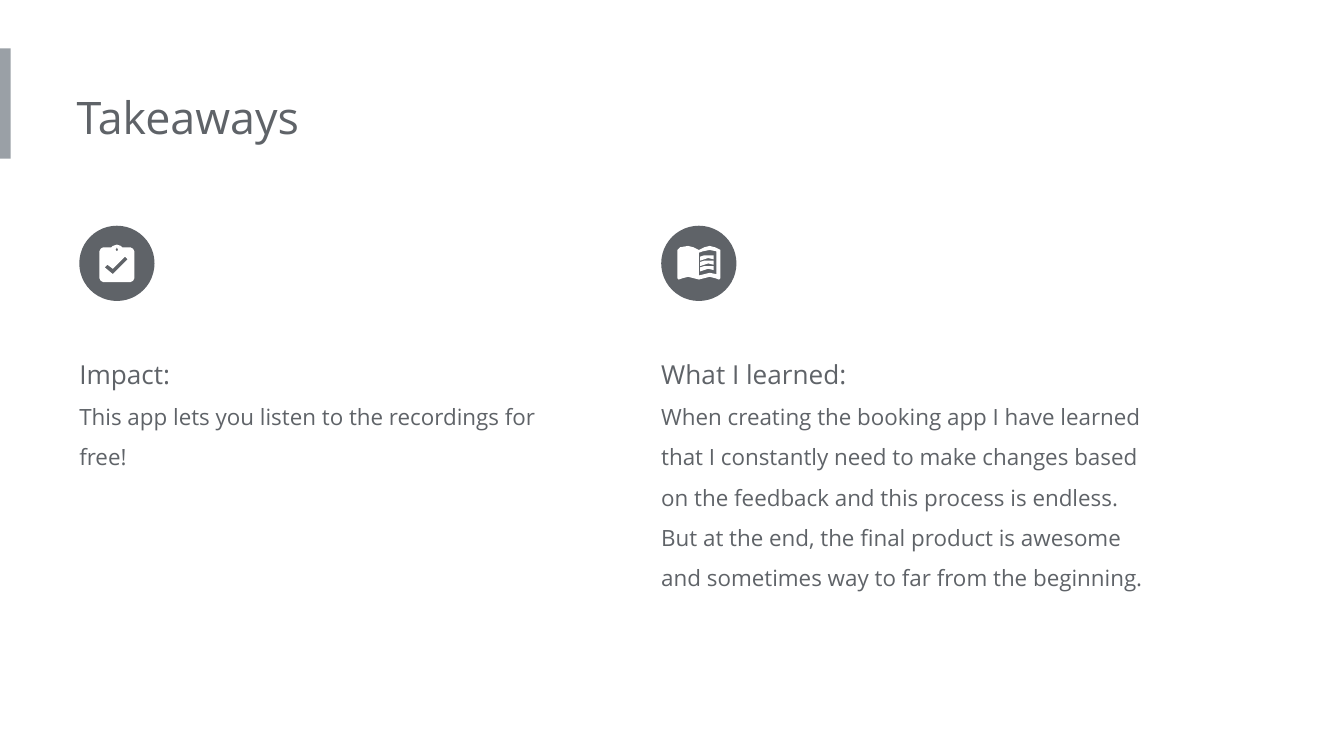
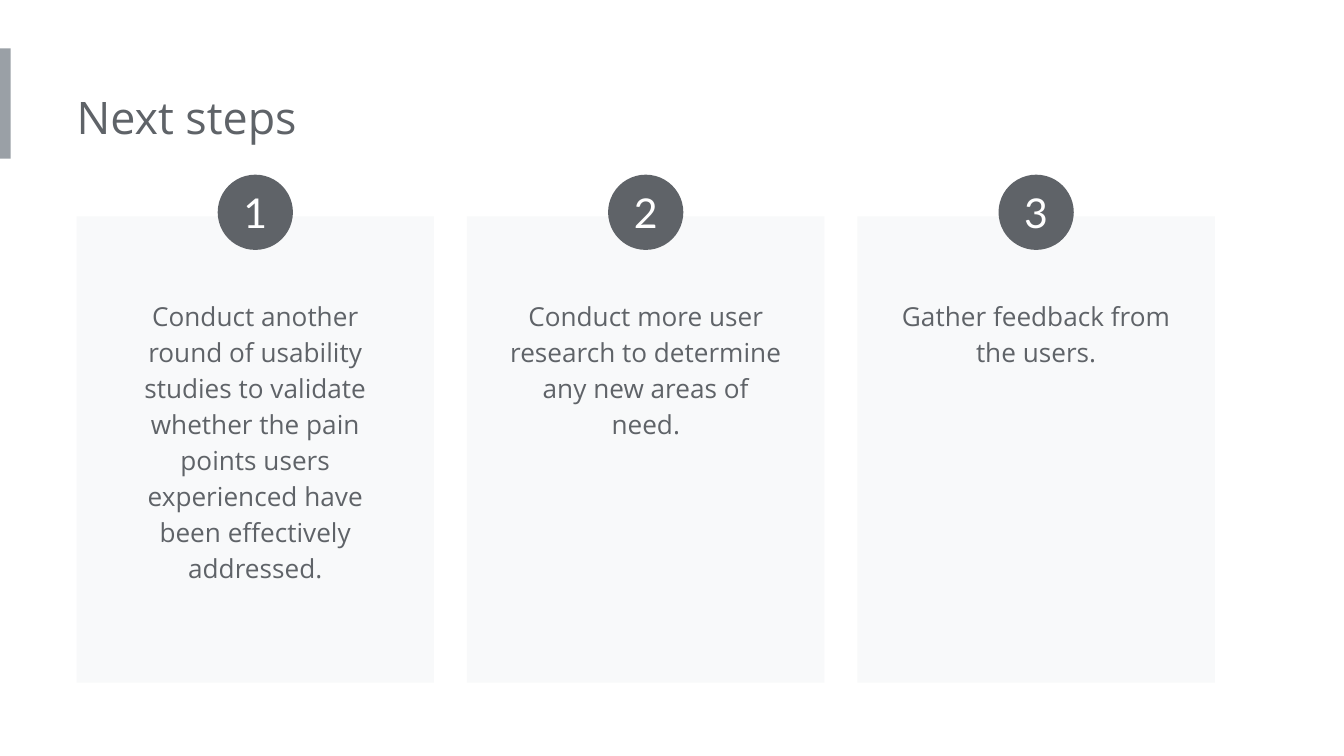
from pptx import Presentation
from pptx.dml.color import RGBColor
from pptx.enum.shapes import MSO_SHAPE
from pptx.enum.text import MSO_ANCHOR, MSO_AUTO_SIZE, PP_ALIGN
from pptx.util import Inches, Pt

GREY = "5F6368"
BAR = "9AA0A6"
CARD = "F8F9FA"
WHITE = "FFFFFF"
CIRCLE_SIZE = 0.56

CLIPBOARD = [
    [(0.97, 1.84), (0.91, 1.84), (0.9, 1.83), (0.87, 1.82), (0.84, 1.83), (0.83, 1.84),
     (0.77, 1.84), (0.75, 1.85), (0.74, 1.87), (0.74, 2.07), (0.75, 2.09), (0.77, 2.1),
     (0.97, 2.1), (0.99, 2.09), (1, 2.07), (1, 1.87), (0.99, 1.85)],
    [(0.87, 1.84), (0.88, 1.86), (0.87, 1.87), (0.86, 1.86)],
    [(0.84, 2.04), (0.78, 1.99), (0.8, 1.97), (0.84, 2), (0.93, 1.91), (0.95, 1.93)],
]
BOOK = [
    [(5.04, 1.86), (5.06, 1.84), (5.12, 1.83), (5.16, 1.84), (5.2, 1.86),
     (5.24, 1.84), (5.28, 1.83), (5.32, 1.84), (5.36, 1.86), (5.36, 2.07), (5.35, 2.08),
     (5.32, 2.07), (5.28, 2.06), (5.24, 2.07), (5.2, 2.08), (5.16, 2.07), (5.12, 2.06),
     (5.08, 2.07), (5.05, 2.08), (5.04, 2.07)],
    [(5.2, 1.88), (5.23, 1.87), (5.28, 1.86), (5.33, 1.87), (5.33, 2.04),
     (5.28, 2.03), (5.24, 2.04), (5.2, 2.05)],
]
BOOK_LINE = [(5.21, 1.91), (5.24, 1.9), (5.27, 1.9), (5.31, 1.9), (5.31, 1.93),
             (5.27, 1.92), (5.24, 1.93), (5.21, 1.94)]


def color(value):
    return RGBColor.from_string(value)


def write(paragraph, text, size, font="Open Sans", fill=GREY, align=PP_ALIGN.LEFT, spacing=1.0):
    paragraph.alignment = align
    paragraph.line_spacing = spacing
    paragraph.space_before = Pt(0)
    span = paragraph.add_run()
    span.text = text
    span.font.size = Pt(size)
    span.font.name = font
    span.font.color.rgb = color(fill)


class SlideBuilder:
    def __init__(self, deck):
        self.deck = deck
        self.page = None

    def new_page(self, title):
        self.page = self.deck.slides.add_slide(self.deck.slide_layouts[5])
        self.shape(MSO_SHAPE.RECTANGLE, 0, 0.36, 0.08, 0.82, BAR)
        box = self.page.shapes.title
        box.left, box.top, box.width, box.height = map(Inches, (0.57, 0.57, 5.39, 0.61))
        self.frame(box, left_inset=0)
        write(box.text_frame.paragraphs[0], title, 24)

    def frame(self, box, left_inset=0.1):
        frame = box.text_frame
        frame.word_wrap = True
        frame.auto_size = MSO_AUTO_SIZE.SHAPE_TO_FIT_TEXT
        frame.vertical_anchor = MSO_ANCHOR.TOP
        frame.margin_left = Inches(left_inset)
        frame.margin_right = frame.margin_top = frame.margin_bottom = Inches(0.1)

    def paint(self, shape, fill):
        shape.shadow.inherit = False
        shape.fill.solid()
        shape.fill.fore_color.rgb = color(fill)
        shape.line.fill.background()

    def shape(self, kind, left, top, width, height, fill):
        shape = self.page.shapes.add_shape(kind, *map(Inches, (left, top, width, height)))
        self.paint(shape, fill)
        return shape

    def circle(self, left, top, label=None):
        circle = self.shape(MSO_SHAPE.OVAL, left, top, CIRCLE_SIZE, CIRCLE_SIZE, GREY)
        if label:
            frame = circle.text_frame
            frame.margin_left = frame.margin_right = frame.margin_top = frame.margin_bottom = 0
            frame.vertical_anchor = MSO_ANCHOR.MIDDLE
            write(frame.paragraphs[0], label, 22, font="Lato", fill=WHITE, align=PP_ALIGN.CENTER)

    def text(self, left, top, width, height, lines, left_inset=0.1, **style):
        box = self.page.shapes.add_textbox(*map(Inches, (left, top, width, height)))
        self.frame(box, left_inset)
        for index, (line, size) in enumerate(lines):
            frame = box.text_frame
            paragraph = frame.add_paragraph() if index else frame.paragraphs[0]
            write(paragraph, line, size, **style)

    def icon(self, outlines):
        scaled = [[(x * 100, y * 100) for x, y in outline] for outline in outlines]
        builder = self.page.shapes.build_freeform(*scaled[0][0], scale=Inches(1) / 100)
        for index, outline in enumerate(scaled):
            if index:
                builder.move_to(*outline[0])
            builder.add_line_segments(outline[1:], close=True)
        self.paint(builder.convert_to_shape(), WHITE)


def add_takeaways(slide):
    slide.new_page("Takeaways")
    columns = [
        (0.59, 1.06, "Impact:", "This app lets you listen to the recordings for free!"),
        (4.92, 1.97, "What I learned:",
         "When creating the booking app I have learned that I constantly need to make changes "
         "based on the feedback and this process is endless. But at the end, the final product "
         "is awesome and sometimes way to far from the beginning."),
    ]
    for left, height, heading, body in columns:
        slide.text(left, 2.45, 3.77, height, [(heading, 14), (body, 12)],
                   left_inset=0, spacing=1.5)
        slide.circle(left, 1.68)
    slide.icon(CLIPBOARD)
    slide.icon(BOOK)
    for row in range(3):
        slide.icon([[(x, y + row * 0.04) for x, y in BOOK_LINE]])


def add_next_steps(slide):
    slide.new_page("Next steps")
    steps = [
        (2.33, "Conduct another round of usability studies to validate whether the pain points "
               "users experienced have been effectively addressed."),
        (1.25, "Conduct more user research to determine any new areas of need."),
        (0.71, "Gather feedback from the users."),
    ]
    first_left, last_left = 0.57, 6.38
    card_width, text_width = 2.66, 2.24
    pitch = (last_left - first_left) / (len(steps) - 1)
    for index, (height, step) in enumerate(steps):
        left = first_left + index * pitch
        slide.shape(MSO_SHAPE.RECTANGLE, left, 1.61, card_width, 3.47, CARD)
        slide.text(left + (card_width - text_width) / 2, 2.1, text_width, height, [(step, 14)],
                   align=PP_ALIGN.CENTER, spacing=1.15)
        slide.circle(left + (card_width - CIRCLE_SIZE) / 2, 1.3, label=str(index + 1))


def main():
    deck = Presentation()
    deck.slide_width = Inches(10)
    deck.slide_height = deck.slide_width * 9 // 16
    slide = SlideBuilder(deck)
    add_takeaways(slide)
    add_next_steps(slide)
    deck.save("out.pptx")


if __name__ == "__main__":
    main()
